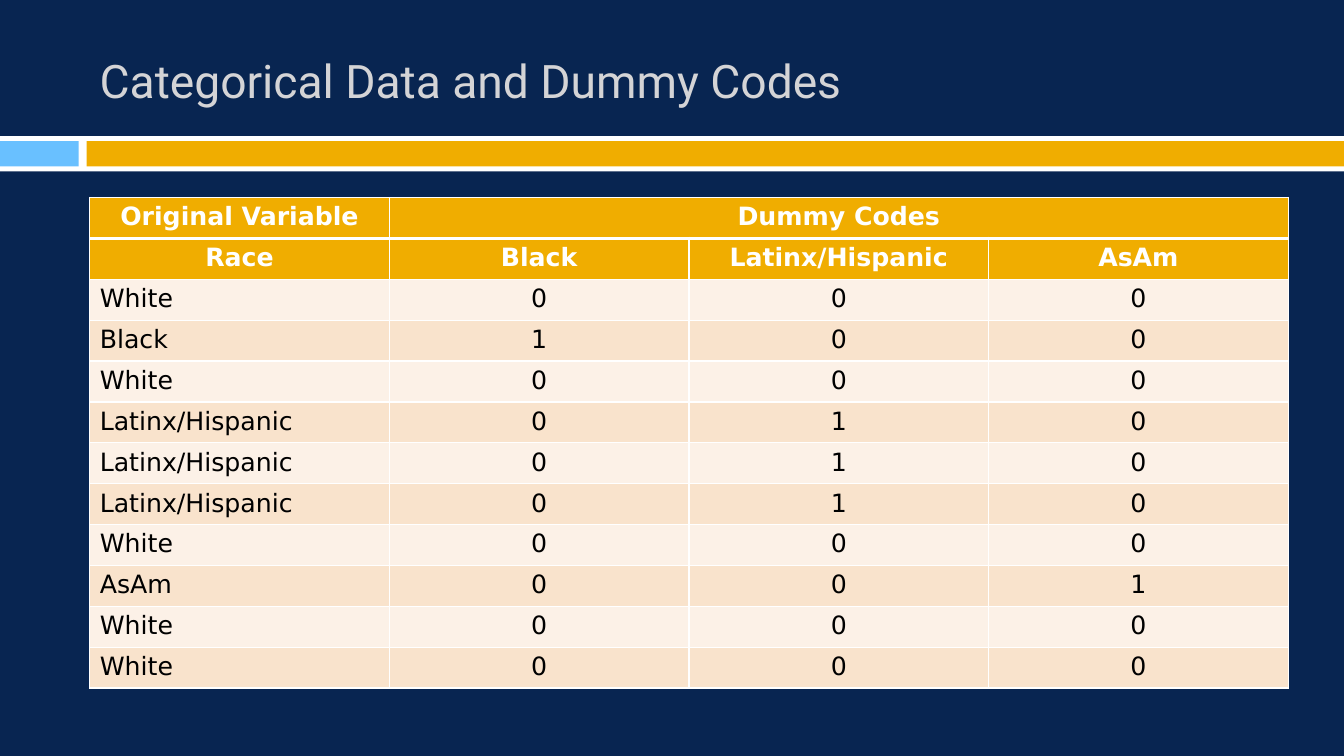
from lxml import etree
from pptx import Presentation
from pptx import util as u
from pptx.dml import color
from pptx.enum import shapes, text

Pt = u.Pt
SLIDE = (960, 540)
BACKGROUND = "082551"
TITLE = {
    "text": "Categorical Data and Dummy Codes",
    "box": (64.08, 18, 856.08, 77.76),
    "font": {"name": "Roboto", "size": Pt(33), "bold": False},
    "color": "D4D4D6",
}
BANDS = [
    ((0, 97.2, 960, 25.2), "FFFFFF"),
    ((0, 100.8, 56.16, 18), "69C0FF"),
    ((61.92, 100.8, 898.08, 18), "F0AD00"),
]
HEADINGS = ["Original Variable", "Dummy Codes", "", ""]
GROUPS = ["Black", "Latinx/Hispanic", "AsAm"]
RACES = ["White", "Black", "White", "Latinx/Hispanic", "Latinx/Hispanic",
         "Latinx/Hispanic", "White", "AsAm", "White", "White"]
TABLE_BOX = (64.08, 141.12, 856.08, 350.64)
HEADER_ROWS = 2
HEADER_FILL = "F0AD00"
STRIPES = ["FCF1E7", "F9E3CC"]
BORDER = "FFFFFF"
CELL_FONT = {"name": "DejaVu Sans", "size": Pt(18)}
NS = "http://schemas.openxmlformats.org/drawingml/2006/main"


def paint(fmt, hex_color):
    if hasattr(fmt, "solid"):
        fmt.solid()
        fmt = fmt.fore_color
    fmt.rgb = color.RGBColor.from_string(hex_color)


def style(target, values):
    for name, value in values.items():
        setattr(target, name, value)


def write(paragraph, words, font, hex_color, align):
    paragraph.alignment = align
    run = paragraph.add_run()
    run.text = words
    style(run.font, font)
    paint(run.font.color, hex_color)


def draw_borders(cell, widths):
    properties = cell._tc.get_or_add_tcPr()
    for side, width in widths.items():
        line = etree.SubElement(properties, f"{{{NS}}}ln{side}", w=str(Pt(width)))
        fill = etree.SubElement(line, f"{{{NS}}}solidFill")
        etree.SubElement(fill, f"{{{NS}}}srgbClr", val=BORDER)


def add_band(slide, box, hex_color):
    band = slide.shapes.add_shape(shapes.MSO_SHAPE.RECTANGLE, *map(Pt, box))
    band.shadow.inherit = False
    paint(band.fill, hex_color)
    band.line.fill.background()


def add_title(slide):
    title = slide.shapes.add_textbox(*map(Pt, TITLE["box"])).text_frame
    style(title, {"word_wrap": True, "vertical_anchor": text.MSO_ANCHOR.MIDDLE})
    write(title.paragraphs[0], TITLE["text"], TITLE["font"], TITLE["color"],
          text.PP_ALIGN.LEFT)


def add_codes(slide):
    codes = [[race] + [str(int(race == group)) for group in GROUPS] for race in RACES]
    rows = [HEADINGS, ["Race"] + GROUPS] + codes
    table = slide.shapes.add_table(len(rows), len(HEADINGS), *map(Pt, TABLE_BOX)).table
    style(table, {"first_row": False, "horz_banding": False})
    for column in table.columns:
        column.width = Pt(TABLE_BOX[2] / len(HEADINGS))
    for row in table.rows:
        row.height = Pt(TABLE_BOX[3] / len(rows))
    table.cell(0, 1).merge(table.cell(0, len(GROUPS)))
    for r, row in enumerate(rows):
        header = r < HEADER_ROWS
        for c, words in enumerate(row):
            cell = table.cell(r, c)
            draw_borders(cell, {"L": 1, "R": 1, "T": 3 if r == 1 else 1,
                                "B": 3 if r == 0 else 1})
            paint(cell.fill, HEADER_FILL if header else STRIPES[r % 2])
            if words:
                centred = header or c > 0
                write(cell.text_frame.paragraphs[0], words,
                      {**CELL_FONT, "bold": header},
                      "FFFFFF" if header else "000000",
                      text.PP_ALIGN.CENTER if centred else text.PP_ALIGN.LEFT)


def main():
    deck = Presentation()
    style(deck, {"slide_width": Pt(SLIDE[0]), "slide_height": Pt(SLIDE[1])})
    slide = deck.slides.add_slide(deck.slide_layouts[6])
    paint(slide.background.fill, BACKGROUND)
    for box, hex_color in BANDS:
        add_band(slide, box, hex_color)
    add_title(slide)
    add_codes(slide)
    deck.save("out.pptx")


if __name__ == "__main__":
    main()
